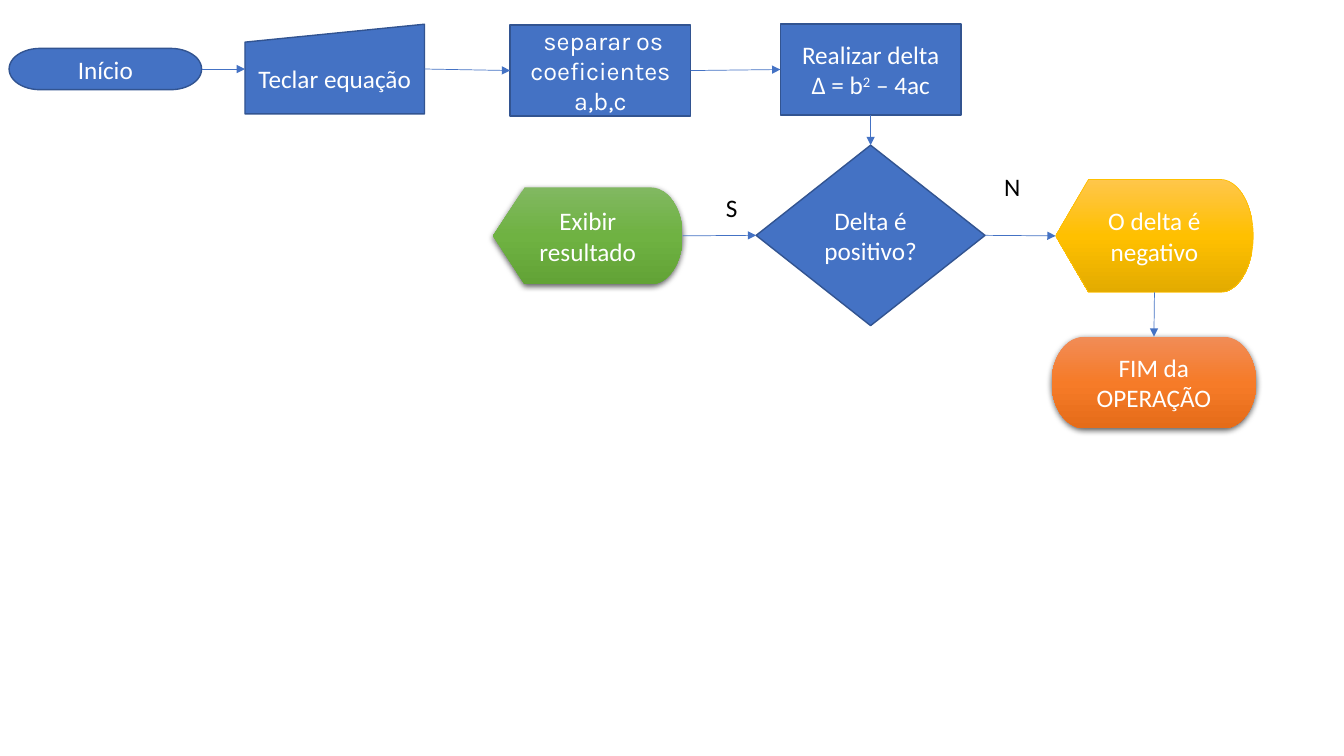
import dataclasses

import lxml.etree
import pptx
import pptx.dml.color
import pptx.enum.shapes
import pptx.enum.text
import pptx.oxml.ns
import pptx.util

Inches = pptx.util.Inches
Kind = pptx.enum.shapes.MSO_SHAPE
qn = pptx.oxml.ns.qn
TOP, LEFT, BOTTOM, RIGHT = range(4)


@dataclasses.dataclass(frozen=True)
class Theme:
    font: str = "Calibri"
    accent_font: str = "Karla"
    size: float = 18
    blue: str = "4472C4"
    outline: str = "325491"
    gold: str = "FFC000"
    white: str = "FFFFFF"
    black: str = "000000"
    green_gradient: tuple = ("81B861", "6FB242", "62A336")
    gold_gradient: tuple = ("FFC64B", "FFC000", "E3AB00")
    orange_gradient: tuple = ("F18C57", "F67B28", "E56C19")
    outline_width: float = 1
    thin_width: float = 0.5


def rgb(value):
    return pptx.dml.color.RGBColor.from_string(value)


def add_color(parent, value):
    return lxml.etree.SubElement(parent, qn("a:srgbClr"), val=value)


class Flowchart:
    def __init__(self, slide, theme):
        self.slide = slide
        self.theme = theme

    def add_text(self, paragraph, text, color, font=None, superscript=False):
        run = paragraph.add_run()
        run.text = text
        run.font.name = font or self.theme.font
        run.font.size = pptx.util.Pt(self.theme.size)
        run.font.color.rgb = rgb(color)
        if superscript:
            run._r.get_or_add_rPr().set("baseline", "30000")

    def paint_gradient(self, shape, colors):
        """Spread the colours evenly from top to bottom."""
        shape.fill.gradient()
        shape.fill.gradient_angle = 270
        stops = shape._element.spPr.find(qn("a:gradFill")).find(qn("a:gsLst"))
        for stop in list(stops):
            stops.remove(stop)
        for index, color in enumerate(colors):
            position = 100000 * index // (len(colors) - 1)
            add_color(lxml.etree.SubElement(stops, qn("a:gs"), pos=str(position)), color)

    def cast_shadow(self, shape):
        effects = shape._element.spPr.find(qn("a:effectLst"))
        shadow = lxml.etree.SubElement(
            effects, qn("a:outerShdw"), blurRad=str(pptx.util.Pt(4.5)),
            dist=str(pptx.util.Pt(1.5)), dir="5400000", algn="ctr", rotWithShape="0")
        color = add_color(shadow, self.theme.black)
        lxml.etree.SubElement(color, qn("a:alpha"), val="63000")

    def step(self, kind, box, lines, gradient=None, line=None, font=None):
        """Add a step; each line is a list of (text, superscript) pairs.

        A gradient step without a line colour has a shadow instead of a line.
        """
        shape = self.slide.shapes.add_shape(kind, *map(Inches, box))
        shape.shadow.inherit = False
        width = self.theme.outline_width
        if gradient:
            self.paint_gradient(shape, gradient)
            width = self.theme.thin_width
        else:
            shape.fill.solid()
            shape.fill.fore_color.rgb = rgb(self.theme.blue)
            line = self.theme.outline
        if line:
            shape.line.color.rgb = rgb(line)
            shape.line.width = pptx.util.Pt(width)
        else:
            shape.line.fill.background()
            self.cast_shadow(shape)
        frame = shape.text_frame
        frame.word_wrap = True
        frame.vertical_anchor = pptx.enum.text.MSO_ANCHOR.MIDDLE
        for index, pieces in enumerate(lines):
            paragraph = frame.add_paragraph() if index else frame.paragraphs[0]
            paragraph.alignment = pptx.enum.text.PP_ALIGN.CENTER
            for text, superscript in pieces:
                self.add_text(paragraph, text, self.theme.white, font, superscript)
        return shape

    def label(self, box, text):
        frame = self.slide.shapes.add_textbox(*map(Inches, box)).text_frame
        frame.word_wrap = False
        frame.auto_size = pptx.enum.text.MSO_AUTO_SIZE.SHAPE_TO_FIT_TEXT
        self.add_text(frame.paragraphs[0], text, self.theme.black)

    def arrow(self, source, source_side, target, target_side):
        connector = self.slide.shapes.add_connector(
            pptx.enum.shapes.MSO_CONNECTOR.STRAIGHT, 0, 0, 0, 0)
        connector.begin_connect(source, source_side)
        connector.end_connect(target, target_side)
        connector.line.color.rgb = rgb(self.theme.blue)
        connector.line.width = pptx.util.Pt(self.theme.thin_width)
        properties = connector._element.spPr
        lxml.etree.SubElement(properties.find(qn("a:ln")), qn("a:tailEnd"), type="triangle")
        lxml.etree.SubElement(properties, qn("a:effectLst"))


def plain(text):
    return [[(text, False)]]


def main():
    presentation = pptx.Presentation()
    presentation.slide_width = Inches(13.33)
    presentation.slide_height = Inches(7.5)
    slide = presentation.slides.add_slide(presentation.slide_layouts[6])
    theme = Theme()
    chart = Flowchart(slide, theme)

    start = chart.step(Kind.FLOWCHART_TERMINATOR, (0.09, 0.48, 1.91, 0.41), plain("Início"))
    equation = chart.step(
        Kind.FLOWCHART_MANUAL_INPUT, (2.43, 0.24, 1.78, 0.89), plain("Teclar equação"))
    coefficients = chart.step(
        Kind.FLOWCHART_PROCESS, (5.06, 0.25, 1.79, 0.9),
        plain(" separar os coeficientes a,b,c"), font=theme.accent_font)
    delta = chart.step(
        Kind.FLOWCHART_PROCESS, (7.74, 0.24, 1.79, 0.9),
        [[("Realizar delta", False)],
         [("Δ = b", False), ("2", True), (" – 4ac", False)]])
    decision = chart.step(
        Kind.FLOWCHART_DECISION, (7.5, 1.44, 2.27, 1.79), plain("Delta é positivo?"))
    result = chart.step(
        Kind.FLOWCHART_DISPLAY, (4.89, 1.86, 1.88, 0.96),
        plain("Exibir resultado"), theme.green_gradient)
    negative = chart.step(
        Kind.FLOWCHART_DISPLAY, (10.47, 1.78, 1.96, 1.12),
        plain("O delta é negativo"), theme.gold_gradient, theme.gold)
    end = chart.step(
        Kind.FLOWCHART_TERMINATOR, (10.43, 3.34, 2.03, 0.91),
        plain("FIM da OPERAÇÃO"), theme.orange_gradient)

    chart.label((7.1, 1.86, 0.32, 0.4), "S")
    chart.label((9.86, 1.65, 0.36, 0.4), "N")

    for source, target in (
            (start, equation), (equation, coefficients), (coefficients, delta),
            (result, decision), (decision, negative)):
        chart.arrow(source, RIGHT, target, LEFT)
    for source, target in ((delta, decision), (negative, end)):
        chart.arrow(source, BOTTOM, target, TOP)

    presentation.save("out.pptx")


if __name__ == "__main__":
    main()
